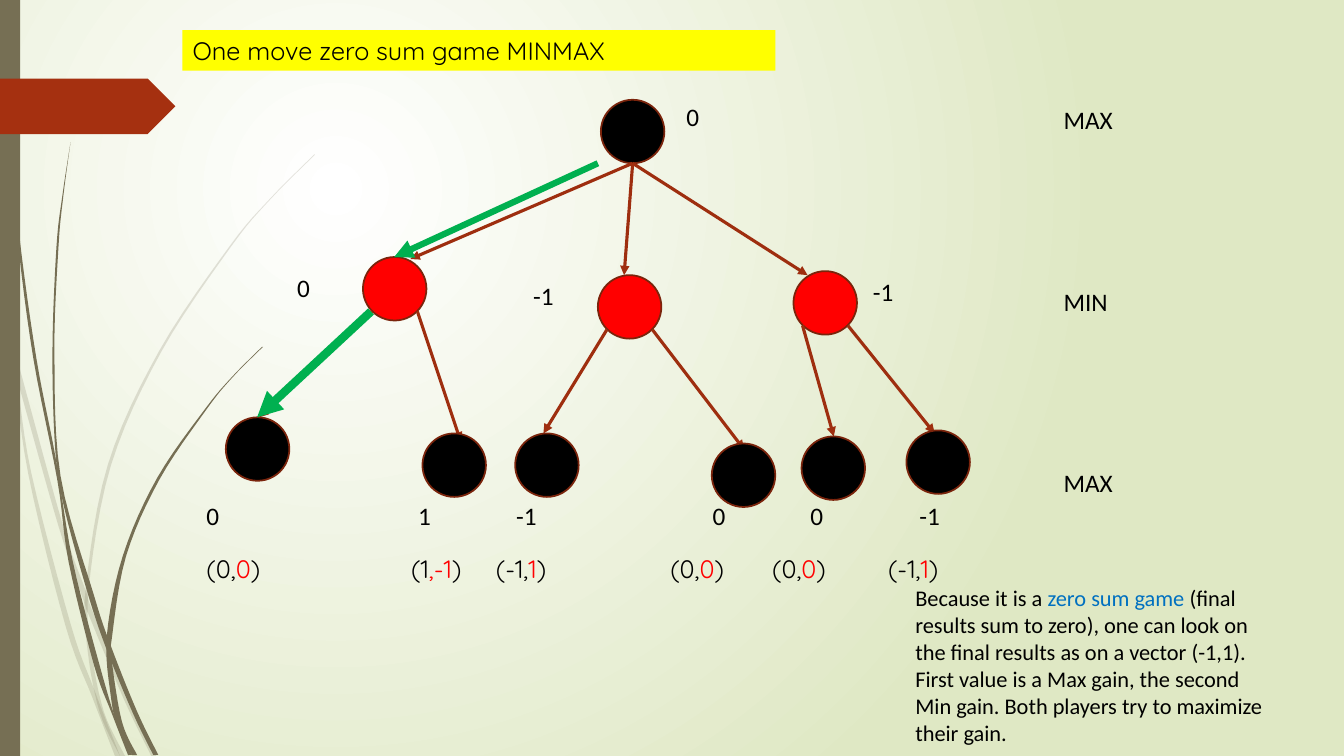
"""Build the one-move zero-sum game slide."""
from lxml import etree
from pptx import Presentation
from pptx.dml.color import RGBColor
from pptx.enum import shapes, text
from pptx.oxml import ns
from pptx.util import Inches, Pt

BLACK, RED, GREEN, YELLOW, BLUE = "000000", "FF0000", "00B050", "FFFF00", "0070C0"
OLIVE, RUST, EDGE, OUTLINE = "766F54", "A53010", "9E2E0F", "7A240C"
NODE_SIZE, CORNER = 0.63, 0.09

FAINT_WISPS = [
    ([(0, 2.82), (0.09, 3.22), (0.17, 3.76), (0.31, 4.69), (0.7, 6.19), (0.93, 6.83), (1.19, 7.5)],
     [(0, 2.99), (0.11, 3.5), (0.28, 4.7), (0.65, 6.21), (0.92, 6.93), (1.14, 7.5)]),
    ([(0.14, 3.45), (0.62, 5.2), (0.85, 5.86), (0.92, 6.07), (1.27, 6.92), (1.55, 7.5)],
     [(0.17, 3.76), (0.58, 5.22), (0.84, 5.99), (0.88, 6.1), (1.23, 6.94), (1.5, 7.5)]),
    ([(3.12, 1.53), (2.68, 1.97), (2.28, 2.44), (1.58, 3.48), (1.07, 4.61), (0.85, 5.84),
      (0.87, 6.46), (0.99, 7.07), (1.19, 7.5)],
     [(3.12, 1.54), (2.68, 1.98), (2.29, 2.45), (1.6, 3.49), (1.1, 4.62), (0.88, 5.84),
      (0.91, 6.46), (1.03, 7.06), (1.24, 7.5)]),
]
DARK_WISPS = [
    ([(0.04, 0), (0.08, 1.09), (0.19, 2.32), (0.36, 3.55), (0.55, 4.53), (0.72, 5.56),
      (0.98, 6.57), (1.16, 7.17), (1.31, 7.49)],
     [(0.03, 0), (0.07, 1.1), (0.17, 2.33), (0.33, 3.55), (0.57, 4.77), (0.68, 5.57),
      (0.93, 6.59), (1.11, 7.08), (1.27, 7.49)]),
    ([(0.7, 1.41), (0.63, 1.93), (0.58, 2.45), (0.54, 3.49), (0.6, 4.72), (0.93, 5.9),
      (1.1, 6.41), (1.36, 7.06), (1.57, 7.49)],
     [(0.7, 1.41), (0.62, 1.93), (0.56, 2.45), (0.52, 3.49), (0.55, 4.49), (0.64, 5.05),
      (0.88, 5.92), (1.06, 6.45), (1.32, 7.08), (1.52, 7.49)]),
    ([(2.6, 3.44), (2.31, 3.73), (2.04, 4.05), (1.56, 4.74), (1.22, 5.51), (1.06, 6.31),
      (1.1, 6.91), (1.17, 7.22), (1.31, 7.49)],
     [(2.61, 3.44), (2.31, 3.74), (2.05, 4.06), (1.58, 4.76), (1.25, 5.52), (1.11, 6.33),
      (1.11, 6.56), (1.21, 7.16), (1.36, 7.49)]),
]

ROOT = (5.96, 0.99)
# Each branch: MIN node, arrow tip above it, then two (leaf, arrow tip) pairs.
BRANCHES = [
    ((3.6, 2.55), (4.07, 2.57), [((2.24, 4.14), (2.57, 4.14)), ((4.19, 4.3), (4.57, 4.38))]),
    ((5.93, 2.73), (6.19, 2.73), [((5.11, 4.3), (5.39, 4.3)), ((7.06, 4.4), (7.38, 4.46))]),
    ((7.87, 2.69), (8.01, 2.73), [((7.95, 4.33), (8.27, 4.33)), ((8.99, 4.27), (9.27, 4.3))]),
]
NODE_VALUES = [(6.71, 0.96, "0"), (2.85, 2.65, "0"), (5.19, 2.73, "-1"), (8.56, 2.69, "-1")]
LEAF_VALUES = ["0", "1", "-1", "0", "0", "-1"]
VALUE_TABS = [2.1, 3.07, 5.02, 5.99, 7.07]
PAYOFFS = [("(0,", "0"), ("(1", ",-1"), ("(-1,", "1"), ("(0,", "0"), ("(0,", "0"), ("(-1,", "1")]
PAYOFF_TABS = [2.03, 2.87, 4.6, 5.61, 6.76]


def colour(value):
    """Turn a hex string into a colour."""
    return RGBColor.from_string(value)


def add_child(parent, tag, **attributes):
    """Append a drawing element with the given attributes."""
    return etree.SubElement(parent, ns.qn(tag), attributes)


def paint(shape, fill, outline=None, width=1.25):
    """Give a shape a flat fill and an optional outline."""
    shape.shadow.inherit = False
    shape.fill.solid()
    shape.fill.fore_color.rgb = colour(fill)
    if outline:
        shape.line.color.rgb = colour(outline)
        shape.line.width = Pt(width)
    else:
        shape.line.fill.background()


def add_preset(page, kind, left, top, width, height, fill, outline=None):
    """Add a painted preset shape."""
    shape = page.shapes.add_shape(kind, Inches(left), Inches(top), Inches(width), Inches(height))
    paint(shape, fill, outline)
    return shape


def smooth(points, steps=6):
    """Return points on a smooth curve through the given ones."""
    padded = [points[0], *points, points[-1]]
    curve = [points[0]]
    for a, b, c, d in zip(padded, padded[1:], padded[2:], padded[3:]):
        for t in (step / steps for step in range(1, steps + 1)):
            curve.append(tuple(
                (2 * q + (r - p) * t + (2 * p - 5 * q + 4 * r - s) * t ** 2
                 + (3 * q - p - 3 * r + s) * t ** 3) / 2
                for p, q, r, s in zip(a, b, c, d)))
    return curve


def add_wisp(page, edges, alpha=None):
    """Add a thin grass blade between two smooth edges."""
    near, far = edges
    outline = [(Inches(x), Inches(y)) for x, y in smooth(near) + smooth(far)[::-1]]
    builder = page.shapes.build_freeform(*outline[0])
    builder.add_line_segments(outline[1:], close=True)
    blade = builder.convert_to_shape()
    paint(blade, OLIVE)
    if alpha:
        tint = blade.fill._xPr.find(".//" + ns.qn("a:srgbClr"))
        add_child(tint, "a:alpha", val=str(alpha * 1000))


def add_arrow(page, start, end, line=EDGE, width=2.25):
    """Add a straight arrow."""
    arrow = page.shapes.add_connector(
        shapes.MSO_CONNECTOR.STRAIGHT, *(Inches(value) for value in (*start, *end)))
    arrow.line.color.rgb = colour(line)
    arrow.line.width = Pt(width)
    add_child(arrow.line._get_or_add_ln(), "a:tailEnd", type="triangle")
    add_child(arrow._element.spPr, "a:effectLst")


def add_spans(para, spans, size=18, font="Calibri"):
    """Write coloured runs into a paragraph."""
    for words, ink in spans:
        span = para.add_run()
        span.text = words
        span.font.size, span.font.name = Pt(size), font
        span.font.color.rgb = colour(ink)


def add_text(page, left, top, width, height, paragraphs, size=18, font="Calibri", gap=0, tabs=()):
    """Add a text box with spaced paragraphs and tab stops."""
    box = page.shapes.add_textbox(Inches(left), Inches(top), Inches(width), Inches(height))
    frame = box.text_frame
    frame.word_wrap = True
    for index, spans in enumerate(paragraphs):
        para = frame.add_paragraph() if index else frame.paragraphs[0]
        para.space_before = Pt(gap if index else 0)
        add_spans(para, spans, size, font)
        if tabs:
            stops = add_child(para._p.get_or_add_pPr(), "a:tabLst")
            for tab in tabs:
                add_child(stops, "a:tab", pos=str(Inches(tab)), algn="l")


def add_node(page, place, fill):
    """Add a game node."""
    add_preset(page, shapes.MSO_SHAPE.OVAL, *place, NODE_SIZE, NODE_SIZE, fill, OUTLINE)


def add_background(page):
    """Add the radial background and the side decoration."""
    fill = page.background.fill
    fill.gradient()
    for stop, ink in zip(fill.gradient_stops, ("FFFFFF", "DFE8C4")):
        stop.color.rgb = colour(ink)
    linear = page._element.find(".//" + ns.qn("a:lin"))
    gradient = linear.getparent()
    gradient.remove(linear)
    circle = add_child(gradient, "a:path", path="circle")
    add_child(circle, "a:fillToRect", l="50000", t="50000", r="100000", b="100000")
    for edges in FAINT_WISPS:
        add_wisp(page, edges, alpha=20)
    for edges in DARK_WISPS:
        add_wisp(page, edges)
    add_preset(page, shapes.MSO_SHAPE.RECTANGLE, 0, 0, 0.2, 7.5, OLIVE)
    add_preset(page, shapes.MSO_SHAPE.PENTAGON, 0, 0.78, 1.74, 0.55, RUST)


def add_title(page):
    """Format the title placeholder as a yellow bar."""
    title = page.shapes.title
    title.left, title.top, title.width, title.height = map(Inches, (1.81, 0.3, 5.88, 0.4))
    title.fill.solid()
    title.fill.fore_color.rgb = colour(YELLOW)
    title.text_frame.vertical_anchor = text.MSO_ANCHOR.TOP
    para = title.text_frame.paragraphs[0]
    para.alignment = text.PP_ALIGN.LEFT
    add_spans(para, [("One move zero sum game MINMAX", BLACK)], font="Quicksand")


def add_tree(page):
    """Add the nodes, their arrows and the best path."""
    add_node(page, ROOT, BLACK)
    root_bottom = (ROOT[0] + NODE_SIZE / 2, ROOT[1] + NODE_SIZE)
    for (left, top), tip, leaves in BRANCHES:
        add_arrow(page, root_bottom, tip)
        add_node(page, (left, top), RED)
        for inset, (leaf, leaf_tip) in zip((CORNER, NODE_SIZE - CORNER), leaves):
            add_arrow(page, (left + inset, top + NODE_SIZE - CORNER), leaf_tip)
            add_node(page, leaf, BLACK)
    add_arrow(page, (3.68, 3.09), (2.55, 4.14), GREEN, 6)
    add_arrow(page, (5.93, 1.62), (3.91, 2.55), GREEN, 4.5)


def add_labels(page):
    """Add node values, payoffs, player names and the note."""
    for left, top, value in NODE_VALUES:
        add_text(page, left, top, 0.63, 0.41, [[(value, BLACK)]])
    add_text(page, 1.95, 4.91, 8.14, 0.4, [[("\t".join(LEAF_VALUES), BLACK)]], tabs=VALUE_TABS)
    payoffs = []
    for index, (gain, other) in enumerate(PAYOFFS):
        payoffs += [("\t" * (index > 0) + gain, BLACK), (other, RED), (")", BLACK)]
    add_text(page, 1.95, 5.44, 8.26, 0.4, [payoffs], font="Quicksand", tabs=PAYOFF_TABS)
    players = [[(name, BLACK)] for name in ("MAX", "MIN", "MAX")]
    add_text(page, 10.45, 0.99, 0.79, 4.04, players, gap=108)
    note = [("Because it is a ", BLACK), ("zero sum game ", BLUE),
            ("(final results sum to zero), one can look on the final results as on a vector "
             "(-1,1). First value is a Max gain, the second Min gain. Both players try to "
             "maximize their gain.", BLACK)]
    add_text(page, 8.98, 5.75, 3.72, 1.72, [note], size=16)


def main():
    """Build and save the slide."""
    deck = Presentation()
    deck.slide_width, deck.slide_height = Inches(13.33), Inches(7.5)
    page = deck.slides.add_slide(deck.slide_layouts[5])
    add_background(page)
    add_title(page)
    add_tree(page)
    add_labels(page)
    deck.save("out.pptx")


if __name__ == "__main__":
    main()
